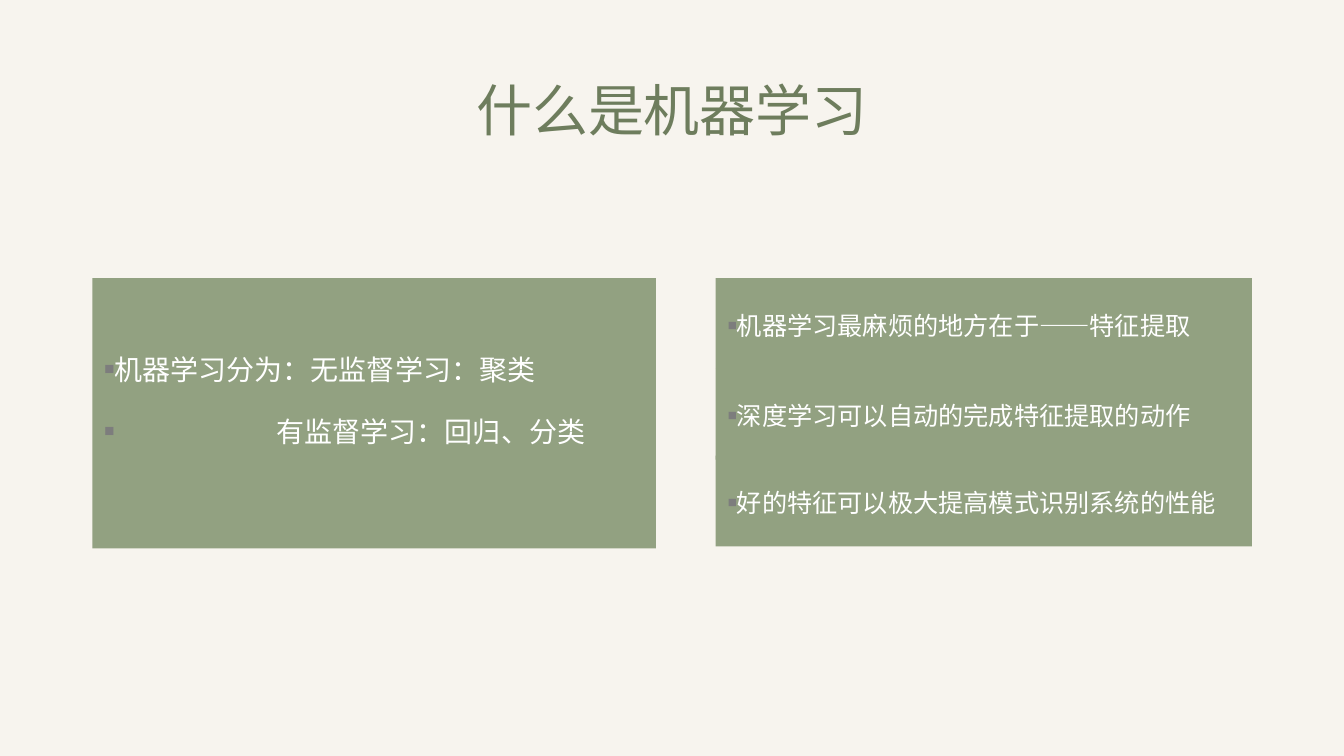
import pptx
import pptx.dml.color
import pptx.enum.shapes
import pptx.enum.text
import pptx.oxml
import pptx.oxml.ns
import pptx.util

Pt = pptx.util.Pt
ALIGN = pptx.enum.text.PP_ALIGN


class Theme:
    background = "F7F4EE"
    heading = "6E7D5D"
    card = "92A181"
    bullet = "7D7D7D"
    text = "FFFFFF"
    font = "Arial"
    cjk_font = "Noto Sans CJK SC"
    title_size = 40
    large_size = 20
    small_size = 18


def rgb(value):
    return pptx.dml.color.RGBColor.from_string(value)


def write(p, text, size, color=Theme.text, font=Theme.font, align=ALIGN.JUSTIFY,
          line_spacing=1.1, space_before=18):
    """Fill a paragraph with one formatted run."""
    p.alignment = align
    p.line_spacing = line_spacing
    p.space_before = Pt(space_before)
    r = p.add_run()
    r.text = text
    r.font.size = Pt(size)
    r.font.name = font
    r.font.color.rgb = rgb(color)


def add_bullet(p, hang=0):
    """Give a paragraph a small square bullet, with its text hung to the right."""
    pPr = p._p.get_or_add_pPr()
    pPr.set("marL", str(Pt(hang)))
    pPr.set("indent", str(-Pt(hang)))
    ns = pptx.oxml.ns.nsdecls("a")
    for xml in (f'<a:buClr {ns}><a:srgbClr val="{Theme.bullet}"/></a:buClr>',
                f'<a:buSzPct {ns} val="60000"/>',
                f'<a:buFont {ns} typeface="Arial"/>',
                f'<a:buChar {ns} char="■"/>'):
        pPr.append(pptx.oxml.parse_xml(xml))


def add_title(slide, text):
    sp = slide.shapes.title
    sp.left, sp.top, sp.width, sp.height = Pt(66), Pt(28.8), Pt(828), Pt(104.4)
    tf = sp.text_frame
    tf.vertical_anchor = pptx.enum.text.MSO_ANCHOR.MIDDLE
    write(tf.paragraphs[0], text, Theme.title_size, color=Theme.heading,
          align=ALIGN.CENTER, line_spacing=0.9, space_before=0)


def add_card(slide, left, top, width, height, items, size, font=Theme.font, bottom=8.64):
    """Add a filled card; items are (text, hanging indent) pairs."""
    sp = slide.shapes.add_shape(pptx.enum.shapes.MSO_SHAPE.RECTANGLE,
                                Pt(left), Pt(top), Pt(width), Pt(height))
    sp.shadow.inherit = False
    sp.fill.solid()
    sp.fill.fore_color.rgb = rgb(Theme.card)
    sp.line.fill.background()
    tf = sp.text_frame
    tf.word_wrap = True
    tf.vertical_anchor = pptx.enum.text.MSO_ANCHOR.MIDDLE
    tf.margin_left = tf.margin_right = tf.margin_top = Pt(8.64)
    tf.margin_bottom = Pt(bottom)
    for i, (text, hang) in enumerate(items):
        p = tf.add_paragraph() if i else tf.paragraphs[0]
        write(p, text, size, font=font)
        add_bullet(p, hang)


def main():
    prs = pptx.Presentation()
    prs.slide_width, prs.slide_height = Pt(960), Pt(540)
    slide = prs.slides.add_slide(prs.slide_layouts[5])
    slide.background.fill.solid()
    slide.background.fill.fore_color.rgb = rgb(Theme.background)

    add_title(slide, "什么是机器学习")

    # Left card: kinds of learning, the second aligned under the first
    kinds = [("机器学习分为：无监督学习：聚类", 0), ("有监督学习：回归、分类", 123)]
    add_card(slide, 66, 198.72, 402.48, 192.96, kinds, Theme.large_size, bottom=30)

    # Right column: one card per remark on features
    remarks = [
        (198.72, "机器学习最麻烦的地方在于——特征提取", Theme.font),
        (263.52, "深度学习可以自动的完成特征提取的动作", Theme.font),
        (325.44, "好的特征可以极大提高模式识别系统的性能", Theme.cjk_font),
    ]
    for top, text, font in remarks:
        add_card(slide, 511.2, top, 383.04, 64.8, [(text, 0)], Theme.small_size, font=font)

    prs.save("out.pptx")


if __name__ == "__main__":
    main()
